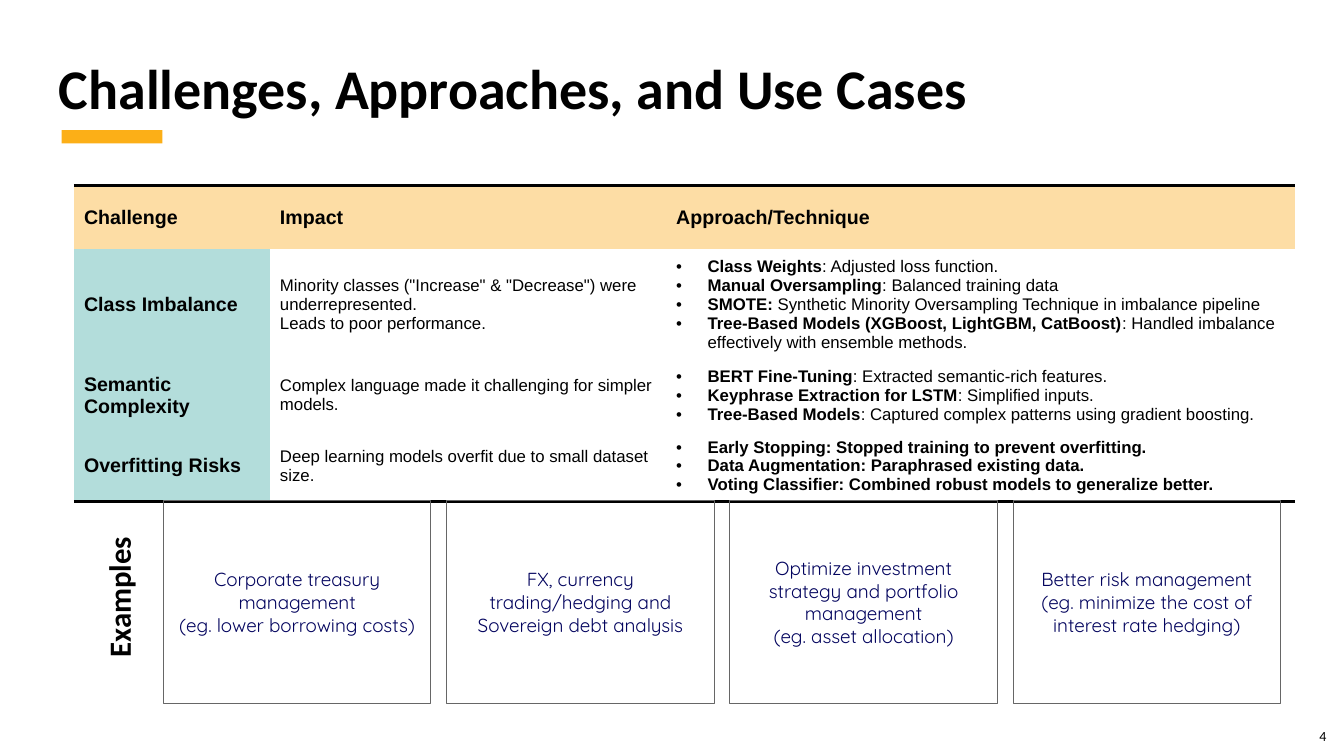
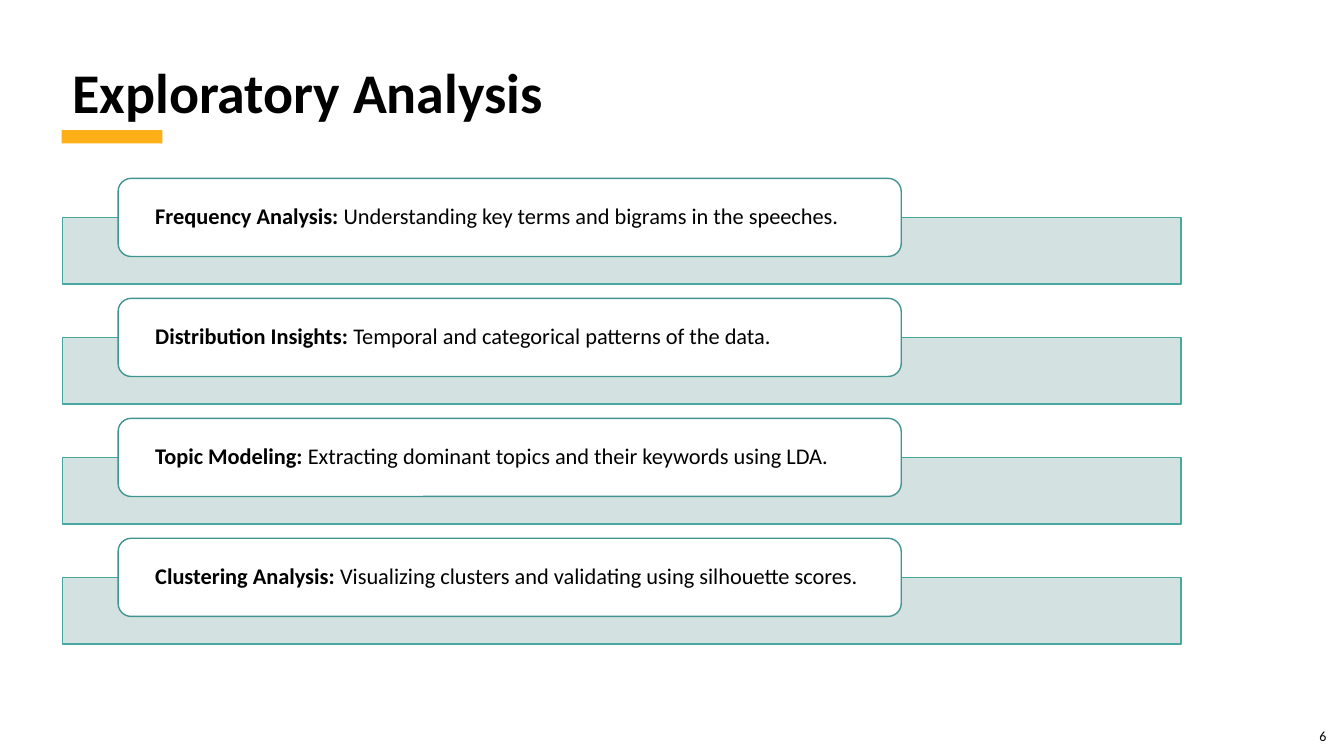
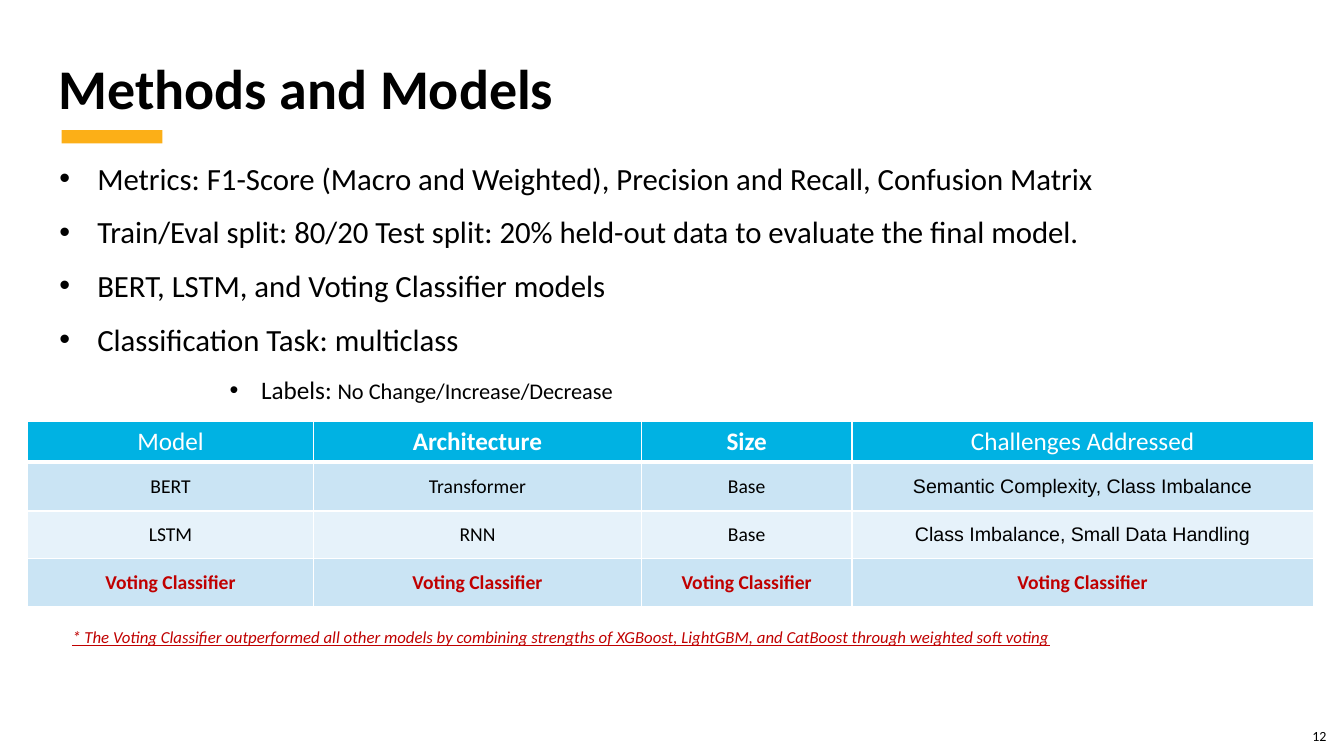
from lxml.etree import SubElement
from pptx import Presentation
from pptx.dml.color import RGBColor
from pptx.enum.shapes import MSO_SHAPE
from pptx.enum.text import MSO_ANCHOR, MSO_AUTO_SIZE, PP_ALIGN
from pptx.oxml.ns import qn
from pptx.util import Pt

color = RGBColor.from_string
BLACK, WHITE, ORANGE, RED, NAVY = "000000", "FFFFFF", "FCAF17", "C00000", "03045E"
SAND, TEAL, BAR, BAR_LINE, CARD_LINE = "FDDDA5", "B3DDDB", "CEDFDD", "49A7A2", "419591"
CYAN, SKY, PALE_SKY, GREY = "00B2E3", "CAE4F4", "E6F2FA", "666666"
NO_TABLE_STYLE = "{2D5ABB26-0587-4C30-8999-92F81FD0307C}"


def write(text_frame, paragraphs, size, ink=BLACK, font="Calibri", bold=False,
          align=PP_ALIGN.LEFT, hanging=0):
    """Fill a text frame; a (lead, rest) pair gets a bold lead, hanging adds bullets."""
    for index, content in enumerate(paragraphs):
        paragraph = text_frame.add_paragraph() if index else text_frame.paragraphs[0]
        if hanging:
            properties = paragraph._p.get_or_add_pPr()
            properties.set("marL", str(Pt(hanging)))
            properties.set("indent", str(-Pt(hanging)))
            SubElement(properties, qn("a:buFont"), typeface="Arial")
            SubElement(properties, qn("a:buChar"), char="•")
        paragraph.alignment = align
        paragraph.font.name = font
        paragraph.font.size = Pt(size)
        paragraph.font.bold = bold
        paragraph.font.color.rgb = color(ink)
        if isinstance(content, tuple):
            lead, rest = content
            run = paragraph.add_run()
            run.text = lead
            run.font.bold = True
            content = rest
        paragraph.add_run().text = content


def build_table(slide, left, top, widths, heights, fills, borders, line_color):
    """Add a table; fills holds colours and borders holds {side: width} for each row."""
    table = slide.shapes.add_table(len(heights), len(widths), Pt(left), Pt(top),
                                   Pt(sum(widths)), Pt(sum(heights))).table
    table._tbl.tblPr.find(qn("a:tableStyleId")).text = NO_TABLE_STYLE
    table.first_row = table.horz_banding = False
    for column, width in zip(table.columns, widths):
        column.width = Pt(width)
    for row, height, row_fills, row_borders in zip(table.rows, heights, fills, borders):
        row.height = Pt(height)
        for cell, fill in zip(row.cells, row_fills):
            cell.vertical_anchor = MSO_ANCHOR.MIDDLE
            properties = cell._tc.get_or_add_tcPr()
            for side in "LRTB":
                if side in row_borders:
                    line = SubElement(properties, qn(f"a:ln{side}"), w=str(Pt(row_borders[side])))
                    solid = SubElement(line, qn("a:solidFill"))
                    SubElement(solid, qn("a:srgbClr"), val=line_color)
            cell.fill.solid()
            cell.fill.fore_color.rgb = color(fill)
    return table


presentation = Presentation()
presentation.slide_width, presentation.slide_height = Pt(960), Pt(540)

# Title, accent bar and page number on every slide
slides = []
for title_text, number, box, margins in (
    ("Challenges, Approaches, and Use Cases", "4", (42, 37.5, 872, 55), (0, 0)),
    ("Exploratory Analysis", "6", (44.6, 41.8, 827, 52), (7.2, 3.6)),
    ("Methods and Models", "12", (42, 37.5, 872, 55), (0, 0)),
):
    slide = presentation.slides.add_slide(presentation.slide_layouts[5])
    slides.append(slide)
    accent = slide.shapes.add_shape(MSO_SHAPE.RECTANGLE, Pt(44), Pt(93), Pt(72), Pt(9.4))
    accent.shadow.inherit = False
    accent.fill.solid()
    accent.fill.fore_color.rgb = color(ORANGE)
    accent.line.fill.background()

    page = slide.shapes.add_textbox(Pt(720), Pt(520), Pt(227.5), Pt(14.4)).text_frame
    page.margin_left = page.margin_right = page.margin_top = page.margin_bottom = 0
    write(page, [number], 10, align=PP_ALIGN.RIGHT)

    title = slide.shapes.title
    title.left, title.top, title.width, title.height = map(Pt, box)
    frame = title.text_frame
    frame.auto_size = MSO_AUTO_SIZE.NONE
    frame.word_wrap = True
    frame.vertical_anchor = MSO_ANCHOR.MIDDLE
    frame.margin_left = frame.margin_right = Pt(margins[0])
    frame.margin_top = frame.margin_bottom = Pt(margins[1])
    write(frame, [title_text], 40, bold=True)
    frame.paragraphs[0].line_spacing = 0.9

challenges_slide, analysis_slide, methods_slide = slides

# Challenges: table of challenge, impact and techniques
challenges = [
    ("Class Imbalance",
     ['Minority classes ("Increase" & "Decrease") were underrepresented.',
      "Leads to poor performance."],
     [("Class Weights", ": Adjusted loss function."),
      ("Manual Oversampling", ": Balanced training data"),
      ("SMOTE:", " Synthetic Minority Oversampling Technique in imbalance pipeline"),
      ("Tree-Based Models (XGBoost, LightGBM, CatBoost)",
       ": Handled imbalance effectively with ensemble methods.")]),
    ("Semantic Complexity",
     ["Complex language made it challenging for simpler models."],
     [("BERT Fine-Tuning", ": Extracted semantic-rich features."),
      ("Keyphrase Extraction for LSTM", ": Simplified inputs."),
      ("Tree-Based Models", ": Captured complex patterns using gradient boosting.")]),
    ("Overfitting Risks",
     ["Deep learning models overfit due to small dataset size."],
     [("Early Stopping", ": Stopped training to prevent overfitting."),
      ("Data Augmentation", ": Paraphrased existing data."),
      ("Voting Classifier", ": Combined robust models to generalize better.")]),
]
table = build_table(challenges_slide, 52.8, 132.6, [140, 283, 449], [45.4, 74, 48, 48],
                    [[SAND] * 3] + [[TEAL, WHITE, WHITE]] * 3,
                    [{"T": 2}, {}, {}, {"B": 2}], BLACK)
for column, heading in enumerate(("Challenge", "Impact", "Approach/Technique")):
    write(table.cell(0, column).text_frame, [heading], 14, font="Arial", bold=True)
for row, (challenge, impact, techniques) in enumerate(challenges, 1):
    write(table.cell(row, 0).text_frame, [challenge], 14, font="Arial", bold=True)
    write(table.cell(row, 1).text_frame, impact, 12, font="Arial")
    write(table.cell(row, 2).text_frame, techniques, 12, font="Arial",
          bold=challenge == "Overfitting Risks", hanging=22.5)

# Challenges: rotated label and row of example boxes
label = challenges_slide.shapes.add_textbox(Pt(15.8), Pt(406), Pt(138), Pt(41))
label.rotation = 270
label.text_frame.word_wrap = True
label.text_frame.margin_top = label.text_frame.margin_bottom = Pt(7.2)
write(label.text_frame, ["Examples"], 22, bold=True, align=PP_ALIGN.CENTER)

examples = [
    ["Corporate treasury management", "(eg. lower borrowing costs)"],
    ["FX, currency trading/hedging and Sovereign debt analysis"],
    ["Optimize investment strategy and portfolio management", "(eg. asset allocation)"],
    ["Better risk management (eg. minimize the cost of interest rate hedging)"],
]
for index, example in enumerate(examples):
    box = challenges_slide.shapes.add_shape(MSO_SHAPE.RECTANGLE, Pt(116.8 + 202.3 * index),
                                            Pt(357.5), Pt(191), Pt(145))
    box.shadow.inherit = False
    box.fill.background()
    box.line.color.rgb = color(GREY)
    box.line.width = Pt(0.75)
    frame = box.text_frame
    frame.word_wrap = True
    frame.vertical_anchor = MSO_ANCHOR.MIDDLE
    frame.margin_top = frame.margin_bottom = Pt(7.2)
    write(frame, example, 13.5, NAVY, "Quicksand", align=PP_ALIGN.CENTER)

# Analysis: a bar with an overlapping card for each step
steps = [
    ("Frequency Analysis:", " Understanding key terms and bigrams in the speeches."),
    ("Distribution Insights:", " Temporal and categorical patterns of the data."),
    ("Topic Modeling:", " Extracting dominant topics and their keywords using LDA."),
    ("Clustering Analysis:", " Visualizing clusters and validating using silhouette scores."),
]
for index, step in enumerate(steps):
    top = 127.4 + 85.7 * index
    bar = analysis_slide.shapes.add_shape(MSO_SHAPE.RECTANGLE, Pt(44.6), Pt(top + 28),
                                          Pt(799), Pt(47.6))
    card = analysis_slide.shapes.add_shape(MSO_SHAPE.ROUNDED_RECTANGLE, Pt(84.4), Pt(top),
                                           Pt(559.4), Pt(55.8))
    for shape, fill, line in ((bar, BAR, BAR_LINE), (card, WHITE, CARD_LINE)):
        shape.shadow.inherit = False
        shape.fill.solid()
        shape.fill.fore_color.rgb = color(fill)
        shape.line.color.rgb = color(line)
        shape.line.width = Pt(1)
    bar_color = bar._element.spPr.find(qn("a:solidFill")).find(qn("a:srgbClr"))
    SubElement(bar_color, qn("a:alpha"), val="89000")
    frame = card.text_frame
    frame.word_wrap = True
    frame.vertical_anchor = MSO_ANCHOR.MIDDLE
    frame.margin_left = frame.margin_right = Pt(23.8)
    write(frame, [step], 16)
    frame.paragraphs[0].line_spacing = 0.9

# Methods: bullet list
bullets = methods_slide.shapes.add_textbox(Pt(42.5), Pt(113.8), Pt(872), Pt(357)).text_frame
bullets.word_wrap = True
bullets.margin_left = bullets.margin_right = bullets.margin_top = bullets.margin_bottom = 0
write(bullets, [
    "Metrics: F1-Score (Macro and Weighted), Precision and Recall, Confusion Matrix",
    "Train/Eval split: 80/20 Test split: 20% held-out data to evaluate the final model.",
    "BERT, LSTM, and Voting Classifier models",
    "Classification Task: multiclass",
    "Labels: ",
], 22, hanging=27)
for paragraph in bullets.paragraphs[1:]:
    paragraph.space_before = Pt(12)
labels = bullets.paragraphs[-1]
labels.font.size = Pt(18)
labels._p.pPr.set("marL", str(Pt(144)))
labels._p.pPr.set("indent", str(-Pt(22.5)))
label_names = labels.add_run()
label_names.text = "No Change/Increase/Decrease"
label_names.font.size = Pt(16)

# Methods: table of models
models = [
    ("Model", "Architecture", "Size", "Challenges Addressed"),
    ("BERT", "Transformer", "Base", "Semantic Complexity, Class Imbalance"),
    ("LSTM", "RNN", "Base", "Class Imbalance, Small Data Handling"),
    ("Voting Classifier",) * 4,
]
grid = {"L": 1, "R": 1, "T": 1, "B": 1}
table = build_table(methods_slide, 19.6, 301, [204.5, 234, 150.5, 329.5], [29, 35, 34, 34],
                    [[fill] * 4 for fill in (CYAN, SKY, PALE_SKY, SKY)],
                    [{**grid, "B": 3}, {**grid, "T": 3}, grid, grid], WHITE)
for row, values in enumerate(models):
    for column, value in enumerate(values):
        write(table.cell(row, column).text_frame, [value],
              size=18 if row == 0 else 14,
              ink=(WHITE, BLACK, BLACK, RED)[row],
              font="Arial" if column == 3 and row in (1, 2) else "Calibri",
              bold=row == 3 or value in ("Architecture", "Size"),
              align=PP_ALIGN.CENTER)

# Methods: footnote
footnote = methods_slide.shapes.add_textbox(Pt(44.6), Pt(444.3), Pt(784), Pt(22)).text_frame
footnote.word_wrap = True
write(footnote, ["* The Voting Classifier outperformed all other models by combining strengths of "
                 "XGBoost, LightGBM, and CatBoost through weighted soft voting"], 12, RED)
footnote.paragraphs[0].font.italic = True
footnote.paragraphs[0].font.underline = True

presentation.save("out.pptx")
